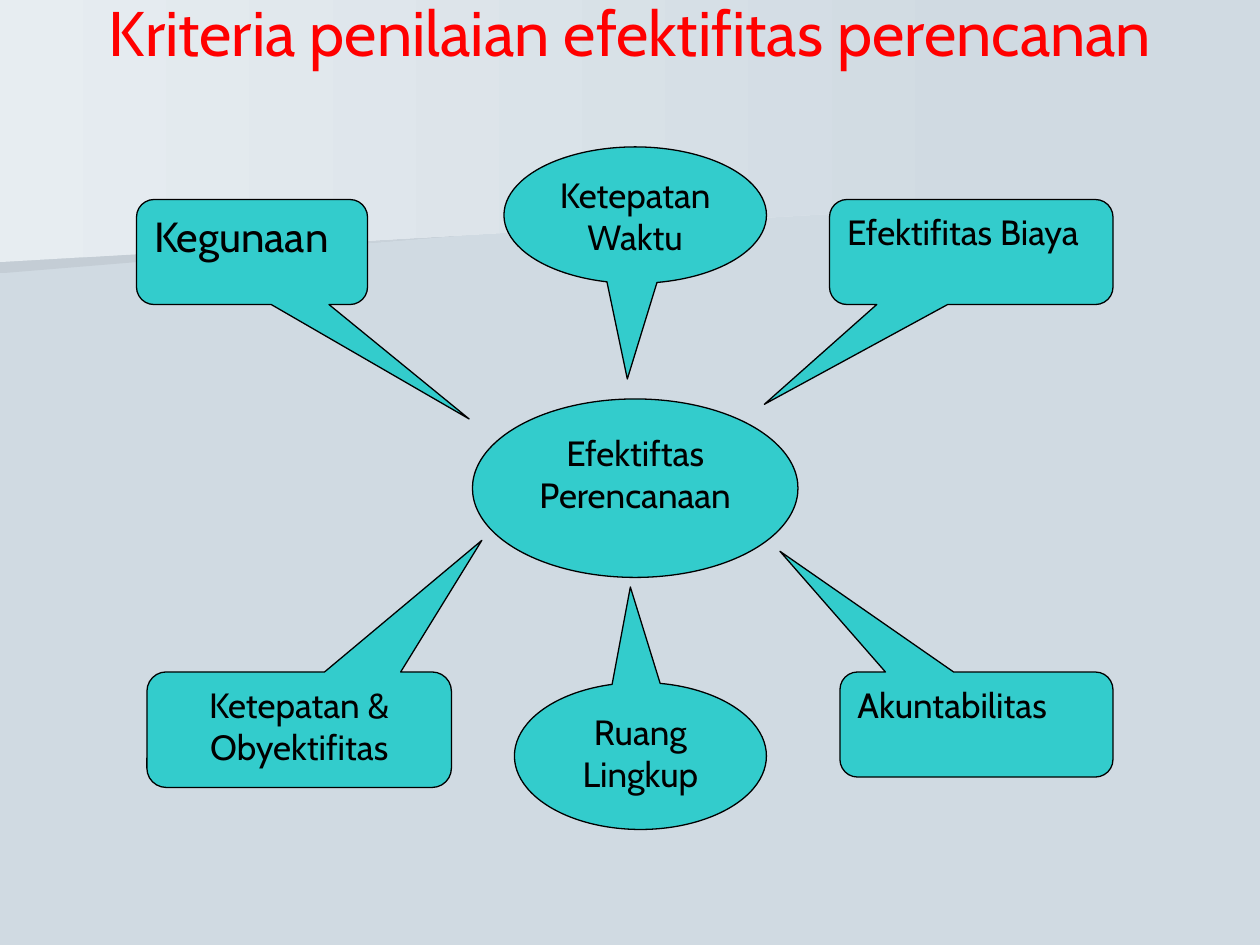
from pptx import Presentation
from pptx.dml.color import RGBColor
from pptx.enum.shapes import MSO_SHAPE
from pptx.enum.text import MSO_ANCHOR, PP_ALIGN
from pptx.util import Inches, Pt

ELLIPSE = MSO_SHAPE.OVAL
ROUND_CALLOUT = MSO_SHAPE.ROUNDED_RECTANGULAR_CALLOUT
OVAL_CALLOUT = MSO_SHAPE.OVAL_CALLOUT
LEFT, CENTER = PP_ALIGN.LEFT, PP_ALIGN.CENTER
TOP, MIDDLE = MSO_ANCHOR.TOP, MSO_ANCHOR.MIDDLE

COLORS = {
    "background": "D0DAE2",
    "ray_shade": "C4CDD5",
    "ray_light": "E7EDF1",
    "title": "FF0000",
    "bubble": "33CCCC",
    "ink": "000000",
}
FONT = "Cabin"
CELL = Inches(1) / 12  # the slide is a grid of 120 columns by 90 rows
CORNER = 0.167

# kind, (column, row, columns, rows), pointer and corner adjustments, text, size, alignment
BUBBLES = [
    (ELLIPSE, (45, 38, 31, 17), (), "Efektiftas\nPerencanaan", 20, CENTER),
    (ROUND_CALLOUT, (13, 19, 22, 10), (0.94, 1.59, CORNER), "Kegunaan", 24, LEFT),
    (OVAL_CALLOUT, (48, 14, 25, 13), (-0.03, 1.2), "Ketepatan\nWaktu", 20, CENTER),
    (ROUND_CALLOUT, (79, 19, 27, 10), (-0.73, 1.45, CORNER), "Efektifitas Biaya", 20, LEFT),
    (ROUND_CALLOUT, (14, 64, 29, 11), (0.6, -1.64, CORNER), "Ketepatan & Obyektifitas", 20, CENTER),
    (OVAL_CALLOUT, (49, 65, 24, 14), (-0.04, -1.15), "Ruang Lingkup", 20, CENTER),
    (ROUND_CALLOUT, (80, 64, 26, 10), (-0.72, -1.65, CORNER), "Akuntabilitas", 20, LEFT),
]

# start colour and outline in inches
RAYS = [
    ("ray_shade", [(7.78, 1.53), (0, 2.17), (0, 1.01), (7.79, 1.01), (7.78, 1.28)]),
    ("ray_light", [(7.92, 1.62), (0, 2.08), (0, 0), (7.92, 0)]),
]


def color(name):
    return RGBColor.from_string(COLORS[name])


def grid(*cells):
    return [round(cell * CELL) for cell in cells]


def add_ray(slide, start_color, points):
    """Draw a borderless outline that fades rightwards into the background."""
    start, *rest = [(Inches(x), Inches(y)) for x, y in points]
    builder = slide.shapes.build_freeform(*start)
    builder.add_line_segments(rest, close=True)
    shape = builder.convert_to_shape()
    shape.shadow.inherit = False
    shape.line.fill.background()
    shape.fill.gradient()
    shape.fill.gradient_angle = 0
    for stop, name in zip(shape.fill.gradient_stops, (start_color, "background")):
        stop.color.rgb = color(name)


def write_text(shape, text, size, alignment, ink, frame_format):
    frame = shape.text_frame
    for name, value in frame_format.items():
        setattr(frame, name, value)
    frame.text = text
    for paragraph in frame.paragraphs:
        paragraph.alignment = alignment
        font_format = {"name": FONT, "size": Pt(size)}
        for name, value in font_format.items():
            setattr(paragraph.font, name, value)
        paragraph.font.color.rgb = color(ink)


def add_title(slide, text):
    box = slide.shapes.add_textbox(*grid(6, 0, 108, 6))
    margins = dict.fromkeys(
        ("margin_left", "margin_top", "margin_right", "margin_bottom"), 0)
    write_text(box, text, 36, CENTER, "title",
               {"word_wrap": True, "vertical_anchor": MIDDLE, **margins})


def add_bubble(slide, kind, cells, adjustments, text, size, alignment):
    shape = slide.shapes.add_shape(kind, *grid(*cells))
    for index, value in enumerate(adjustments):
        shape.adjustments[index] = value
    shape.shadow.inherit = False
    shape.fill.solid()
    shape.fill.fore_color.rgb = color("bubble")
    shape.line.color.rgb = color("ink")
    shape.line.width = Pt(0.75)
    write_text(shape, text, size, alignment, "ink",
               {"word_wrap": True, "vertical_anchor": TOP})


def main():
    presentation = Presentation()
    presentation.slide_width, presentation.slide_height = grid(120, 90)
    slide = presentation.slides.add_slide(presentation.slide_layouts[6])
    slide.background.fill.solid()
    slide.background.fill.fore_color.rgb = color("background")
    for ray in RAYS:
        add_ray(slide, *ray)
    add_title(slide, "Kriteria penilaian efektifitas perencanan")
    for bubble in BUBBLES:
        add_bubble(slide, *bubble)
    presentation.save("out.pptx")


if __name__ == "__main__":
    main()
